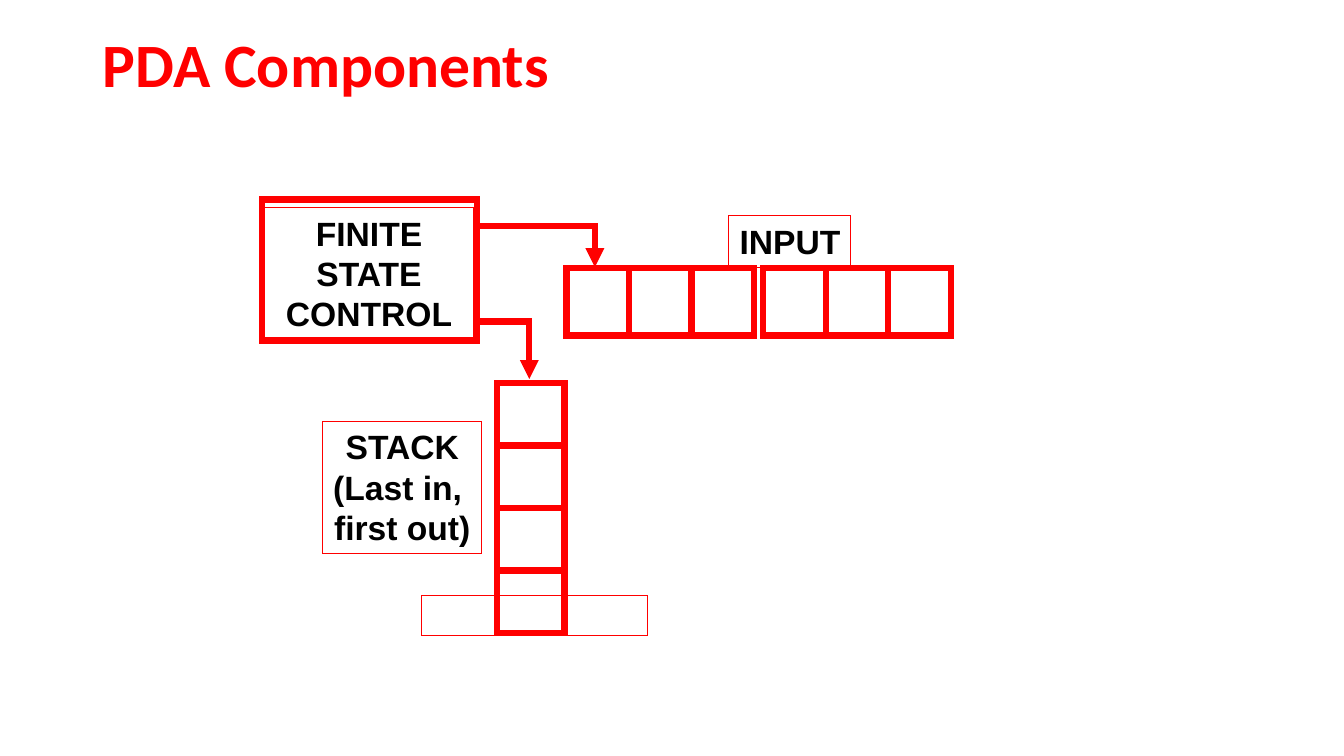
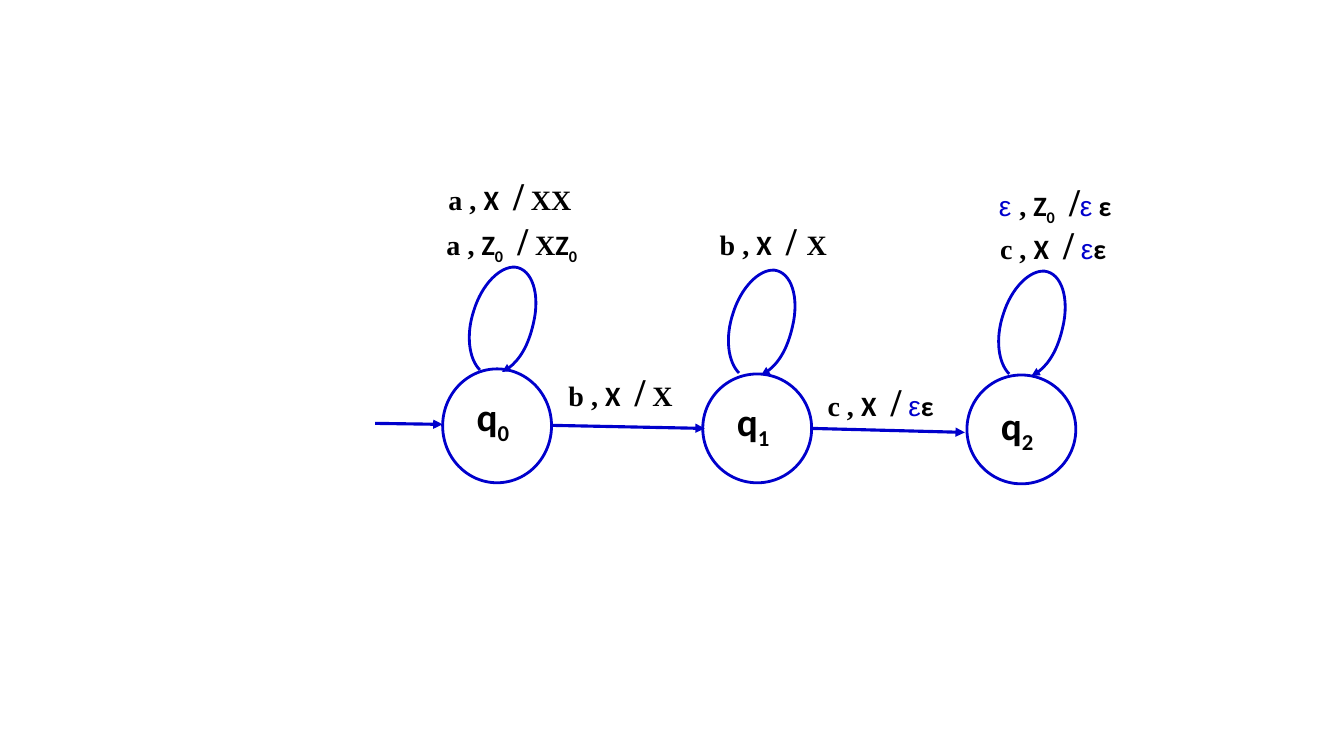
from pptx import Presentation
from pptx.dml.color import RGBColor
from pptx.enum.shapes import MSO_CONNECTOR, MSO_SHAPE
from pptx.enum.text import MSO_ANCHOR, PP_ALIGN
from pptx.oxml.ns import qn
from pptx.util import Inches, Pt
from lxml.etree import SubElement

RED, BLUE, BLACK = "FF0000", "0000CC", "000000"
THICK, THIN = 4.5, 0.75

# Run styles of the transition labels
SERIF = dict(font="Times New Roman")
SANS = dict(font="Calibri")
SUB = dict(font="Calibri", baseline=-25000)
SLASH = dict(font="Times New Roman", size=28)
EPS = dict(font="Arial", color=BLUE, bold=False)
GAP = dict(font="Calibri", spacing=550)
SUB_GAP = dict(font="Calibri", spacing=550)

# Self-loop: control points of four cubic curves, relative to its start
LOOP = [
    (-0.11, -0.11), (-0.14, -0.35), (-0.06, -0.59),
    (0.02, -0.85), (0.2, -1.03), (0.35, -1.02),
    (0.52, -1), (0.6, -0.75), (0.53, -0.46),
    (0.48, -0.24), (0.36, -0.04), (0.22, 0.02),
]


# Shared helpers
def rgb(value):
    return RGBColor.from_string(value)


def set_line(sp, color, width, arrow=False):
    sp.line.color.rgb = rgb(color)
    sp.line.width = Pt(width)
    ln = sp._element.spPr.find(qn("a:ln"))
    SubElement(ln, qn("a:miter"), lim="800000")
    if arrow:
        SubElement(ln, qn("a:tailEnd"), type="triangle")


def add_outline(slide, kind, box, color, width):
    sp = slide.shapes.add_shape(kind, *map(Inches, box))
    sp.shadow.inherit = False
    sp.fill.background()
    set_line(sp, color, width)
    return sp


def add_line(slide, start, end, color, width, arrow=True):
    line = slide.shapes.add_connector(
        MSO_CONNECTOR.STRAIGHT, *map(Inches, (*start, *end)))
    set_line(line, color, width, arrow)
    SubElement(line._element.spPr, qn("a:effectLst"))


def add_title(slide, text):
    title = slide.shapes.title
    title.left, title.top = Inches(0.92), Inches(0.23)
    title.width, title.height = Inches(11.5), Inches(0.88)
    tf = title.text_frame
    tf.text = text
    tf.vertical_anchor = MSO_ANCHOR.MIDDLE
    p = tf.paragraphs[0]
    p.alignment = PP_ALIGN.LEFT
    p.line_spacing = 0.9
    p.font.name, p.font.size, p.font.bold = "Calibri", Pt(44), True
    p.font.color.rgb = rgb(RED)


# Component diagram
def add_caption(slide, box, lines, wrap=False):
    sp = add_outline(slide, MSO_SHAPE.RECTANGLE, box, RED, THIN)
    tf = sp.text_frame
    tf.word_wrap = wrap
    tf.vertical_anchor = MSO_ANCHOR.TOP
    tf.text = "\n".join(lines)
    for p in tf.paragraphs:
        p.alignment = PP_ALIGN.CENTER
        p.font.name, p.font.size, p.font.bold = "Arial", Pt(24), True
        p.font.color.rgb = rgb(BLACK)


def add_cells(slide, left, top, width, height, count, dx=0, dy=0):
    for i in range(count):
        box = (left + i * dx, top + i * dy, width, height)
        add_outline(slide, MSO_SHAPE.RECTANGLE, box, RED, THICK)


def build_components(prs):
    slide = prs.slides.add_slide(prs.slide_layouts[5])
    add_title(slide, "PDA Components")

    # Control unit and its two pointers
    add_outline(slide, MSO_SHAPE.RECTANGLE, (2.6, 1.98, 2.13, 1.4), RED, THICK)
    add_line(slide, (4.75, 3.19), (5.28, 3.19), RED, THICK, arrow=False)
    add_line(slide, (4.75, 2.24), (5.93, 2.24), RED, THICK, arrow=False)
    add_line(slide, (5.25, 3.19), (5.25, 3.76), RED, THICK)
    add_line(slide, (5.9, 2.22), (5.9, 2.65), RED, THICK)
    add_caption(slide, (2.62, 2.06, 2.08, 1.31), ["FINITE STATE CONTROL"], wrap=True)

    # Stack and input tape
    add_cells(slide, 4.93, 3.8, 0.67, 0.62, 4, dy=0.62)
    add_outline(slide, MSO_SHAPE.RECTANGLE, (4.18, 5.91, 2.24, 0.4), RED, THIN)
    for left in (5.62, 7.57):
        add_cells(slide, left, 2.66, 0.62, 0.67, 3, dx=0.62)
    add_caption(slide, (3.2, 4.18, 1.58, 1.31), ["STACK", "(Last in, ", "first out)"])
    add_caption(slide, (7.23, 2.14, 1.21, 0.51), ["INPUT"])


# State diagram
def add_run(p, text, font, size=20, color=BLACK, bold=True, baseline=None, spacing=None):
    r = p.add_run()
    r.text = text
    r.font.name, r.font.size, r.font.bold = font, Pt(size), bold
    r.font.color.rgb = rgb(color)
    rPr = r._r.get_or_add_rPr()
    if baseline:
        rPr.set("baseline", str(baseline))
    if spacing:
        rPr.set("spc", str(spacing))


def add_label(slide, box, runs):
    tf = slide.shapes.add_textbox(*map(Inches, box)).text_frame
    tf.word_wrap = True
    for text, style in runs:
        add_run(tf.paragraphs[0], text, **style)


def curve_segments(sp):
    """Turn each three straight segments into one cubic curve."""
    path_el = next(sp._element.iter(qn("a:path")))
    segments = path_el.findall(qn("a:lnTo"))
    for i in range(0, len(segments), 3):
        curve = SubElement(path_el, qn("a:cubicBezTo"))
        for segment in segments[i:i + 3]:
            curve.append(segment[0])
            path_el.remove(segment)


def add_loop(slide, x, y):
    builder = slide.shapes.build_freeform(Inches(x), Inches(y))
    builder.add_line_segments(
        [(Inches(x + dx), Inches(y + dy)) for dx, dy in LOOP], close=False)
    sp = builder.convert_to_shape()
    curve_segments(sp)
    sp.shadow.inherit = False
    sp.fill.background()
    set_line(sp, BLUE, 2, arrow=True)


def add_state(slide, number, left, top, height, label_top, loop_at):
    add_outline(slide, MSO_SHAPE.OVAL, (left, top, 1.08, height), BLUE, 2)
    add_label(slide, (left + 0.24, label_top, 0.66, 0.51),
              [("q", dict(SANS, size=28)), (number, dict(SUB, size=28))])
    add_loop(slide, *loop_at)


def transition(symbol, result):
    return [(f"{symbol} , ", SERIF), ("X", SANS), (" ", GAP), ("/", SLASH), *result]


def build_automaton(prs):
    slide = prs.slides.add_slide(prs.slide_layouts[6])

    # States with their loops
    add_state(slide, "0", 4.39, 3.66, 1.13, 3.84, (4.76, 3.67))
    add_state(slide, "1", 6.97, 3.71, 1.08, 3.89, (7.33, 3.7))
    add_state(slide, "2", 9.59, 3.72, 1.08, 3.93, (10.01, 3.71))

    # Arrows between states
    for start, end in (((3.72, 4.2), (4.39, 4.21)),
                       ((5.47, 4.22), (6.99, 4.25)),
                       ((8.05, 4.25), (9.57, 4.29))):
        add_line(slide, start, end, BLUE, 2.25)

    # Transitions
    z0 = [("Z", SANS), ("0", SUB)]
    push_x = [(" X", SERIF)]
    pop = [(" ", SERIF), ("ε", EPS), ("ε", SANS)]
    add_label(slide, (4.33, 2.1, 1.59, 0.62),
              [("a , ", SERIF), *z0, (" ", SUB_GAP), ("/", SLASH), *push_x, *z0])
    add_label(slide, (9.74, 1.71, 1.4, 0.66),
              [(" ", SERIF), ("ε ", EPS), (", ", SERIF), *z0, (" ", SUB_GAP),
               ("/", SLASH), ("ε", EPS), (" ε", SANS)])
    for box, symbol, result in (
            ((4.35, 1.65, 1.57, 0.62), "a", [(" XX", SERIF)]),
            ((7.04, 2.1, 1.5, 0.5), "b", [(" ", SLASH), ("X", SERIF)]),
            ((5.54, 3.59, 1.36, 0.64), "b", push_x),
            ((8.11, 3.69, 1.57, 0.64), "c", pop),
            ((9.82, 2.14, 1.48, 0.64), "c", pop)):
        add_label(slide, box, transition(symbol, result))


def main():
    prs = Presentation()
    prs.slide_width, prs.slide_height = Inches(13.33), Inches(7.5)
    build_components(prs)
    build_automaton(prs)
    prs.save("out.pptx")


if __name__ == "__main__":
    main()
